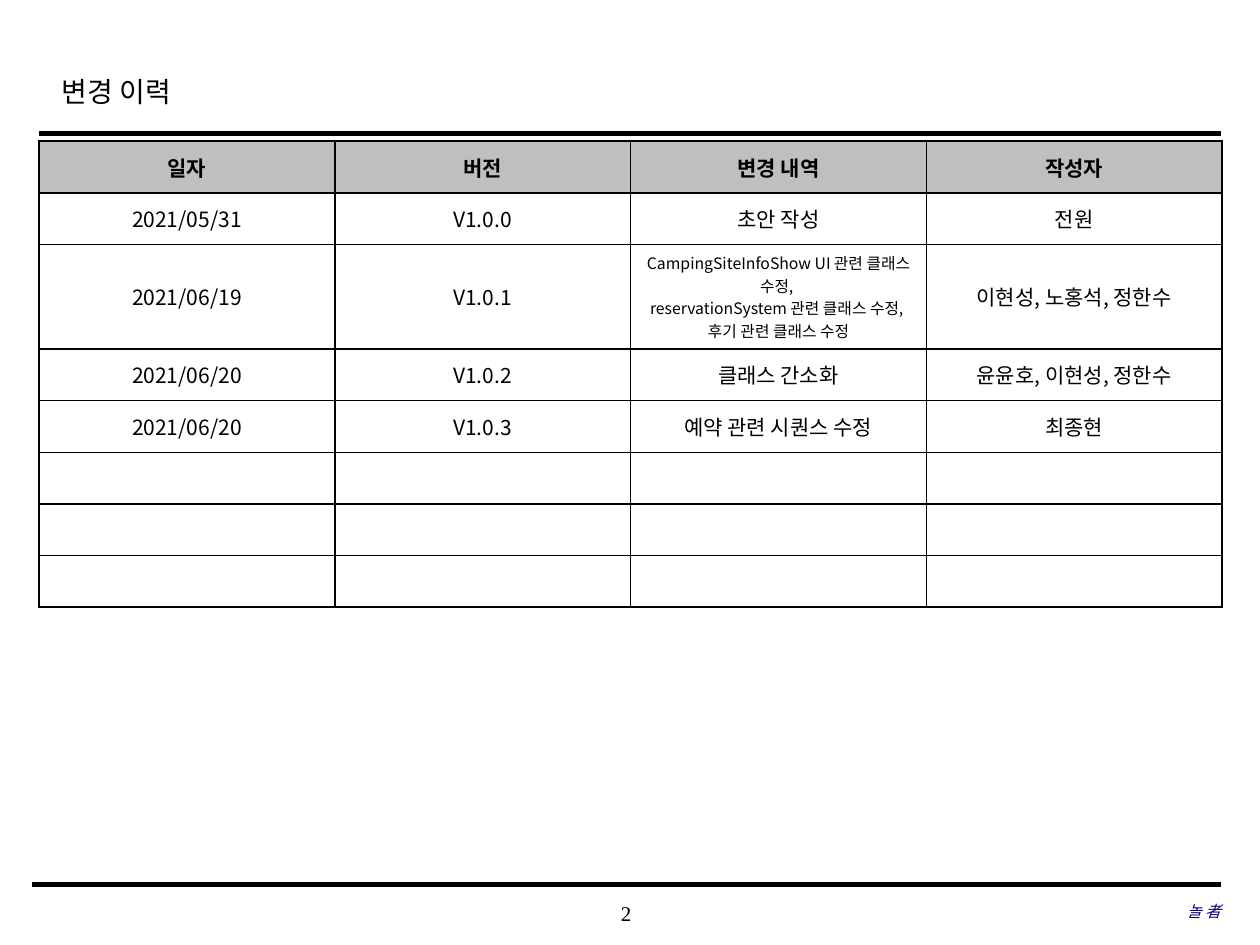
from pptx import Presentation
from pptx.dml.color import RGBColor
from pptx.enum import shapes, text
from pptx.oxml import parse_xml
from pptx.oxml.ns import nsdecls, qn
from pptx.util import Inches, Pt

SERIF, SANS = "Times New Roman", "Noto Sans CJK KR"
BLACK, NAVY, GREY, WHITE = "000000", "000066", "BFBFBF", "FFFFFF"
LEFT, CENTER, RIGHT = text.PP_ALIGN.LEFT, text.PP_ALIGN.CENTER, text.PP_ALIGN.RIGHT

TITLE = "변경 이력"
HEADERS = ("일자", "버전", "변경 내역", "작성자")
CHANGES = [
    ("2021/05/31", "V1.0.0", "초안 작성", "전원"),
    ("2021/06/19", "V1.0.1",
     "CampingSiteInfoShow UI 관련 클래스 수정, \n"
     "reservationSystem 관련 클래스 수정, \n"
     "후기 관련 클래스 수정",
     "이현성, 노홍석, 정한수"),
    ("2021/06/20", "V1.0.2", "클래스 간소화", "윤윤호, 이현성, 정한수"),
    ("2021/06/20", "V1.0.3", "예약 관련 시퀀스 수정", "최종현"),
]
EMPTY_ROWS = 3
RULES = [(0.31, 1.06, 2.5), (0.25, 7.02, 3)]  # left, y, weight
RULE_RIGHT = 9.69
FOOTERS = [  # wording, box, alignment, size, colour, italic
    ("2", (3.93, 7.08, 2.08, 0.33), CENTER, 12, BLACK, False),
    ("놀 者", (6.63, 7.07, 3.06, 0.33), RIGHT, 9, NAVY, True),
]
TABLE_LEFT, TABLE_TOP, TABLE_WIDTH = 0.31, 1.12, 9.39
ROW_HEIGHT, TALL_ROW_HEIGHT = 0.41, 0.83


def rgb(colour):
    return RGBColor.from_string(colour)


def style(para, align, size, font, colour=BLACK, bold=False, italic=False):
    para.alignment = align
    para.font.size = Pt(size)
    para.font.name = font
    para.font.bold = bold
    para.font.italic = italic
    para.font.color.rgb = rgb(colour)


def add_title(page):
    title = page.shapes.title
    title.left, title.top, title.width, title.height = map(Inches, (0.39, 0.49, 7.55, 0.5))
    frame = title.text_frame
    frame.vertical_anchor = text.MSO_ANCHOR.MIDDLE
    frame.margin_top, frame.margin_bottom = Inches(0.01), Inches(0.09)
    frame.text = TITLE
    heading = frame.paragraphs[0]
    style(heading, LEFT, 16, SERIF)
    heading.line_spacing = 1.2


def add_rule(page, left, y, weight):
    rule = page.shapes.add_connector(
        shapes.MSO_CONNECTOR.STRAIGHT,
        Inches(left), Inches(y), Inches(RULE_RIGHT), Inches(y))
    rule.line.color.rgb = rgb(BLACK)
    rule.line.width = Pt(weight)
    rule._element.spPr.append(parse_xml(f"<a:effectLst {nsdecls('a')}/>"))


def add_footer(page, wording, place, align, size, colour, italic):
    box = page.shapes.add_textbox(*map(Inches, place))
    frame = box.text_frame
    frame.word_wrap = True
    frame.vertical_anchor = text.MSO_ANCHOR.MIDDLE
    frame.margin_left = frame.margin_right = frame.margin_top = frame.margin_bottom = 0
    frame.text = wording
    style(frame.paragraphs[0], align, size, SERIF, colour, italic=italic)


def add_borders(cell):
    properties = cell._tc.get_or_add_tcPr()
    for index, side in enumerate("LRTB"):
        properties.insert(index, parse_xml(
            f'<a:ln{side} {nsdecls("a")} w="{Pt(1)}"><a:solidFill>'
            f'<a:srgbClr val="{BLACK}"/></a:solidFill></a:ln{side}>'))


def fill_cell(cell, wording, header):
    cell.text = wording
    cell.vertical_anchor = text.MSO_ANCHOR.MIDDLE
    cell.fill.solid()
    cell.fill.fore_color.rgb = rgb(GREY if header else WHITE)
    add_borders(cell)
    size = 9 if "\n" in wording else 12
    for para in cell.text_frame.paragraphs:
        style(para, CENTER, size, SANS, bold=header)
        # Korean glyphs take the East Asian typeface
        latin = para._p.pPr.find(qn("a:defRPr")).find(qn("a:latin"))
        latin.addnext(parse_xml(f'<a:ea {nsdecls("a")} typeface="{SANS}"/>'))


def add_history(page):
    rows = [HEADERS, *CHANGES] + [("",) * len(HEADERS)] * EMPTY_ROWS
    heights = [TALL_ROW_HEIGHT if any("\n" in wording for wording in row) else ROW_HEIGHT
               for row in rows]
    table = page.shapes.add_table(
        len(rows), len(HEADERS), Inches(TABLE_LEFT), Inches(TABLE_TOP),
        Inches(TABLE_WIDTH), Inches(sum(heights))).table
    for r, (row, height) in enumerate(zip(rows, heights)):
        table.rows[r].height = Inches(height)
        for c, wording in enumerate(row):
            fill_cell(table.cell(r, c), wording, header=r == 0)


def main():
    deck = Presentation()
    deck.slide_width, deck.slide_height = Inches(10), Inches(7.5)
    page = deck.slides.add_slide(deck.slide_layouts[5])
    add_title(page)
    for rule in RULES:
        add_rule(page, *rule)
    for footer in FOOTERS:
        add_footer(page, *footer)
    add_history(page)
    deck.save("out.pptx")


if __name__ == "__main__":
    main()
